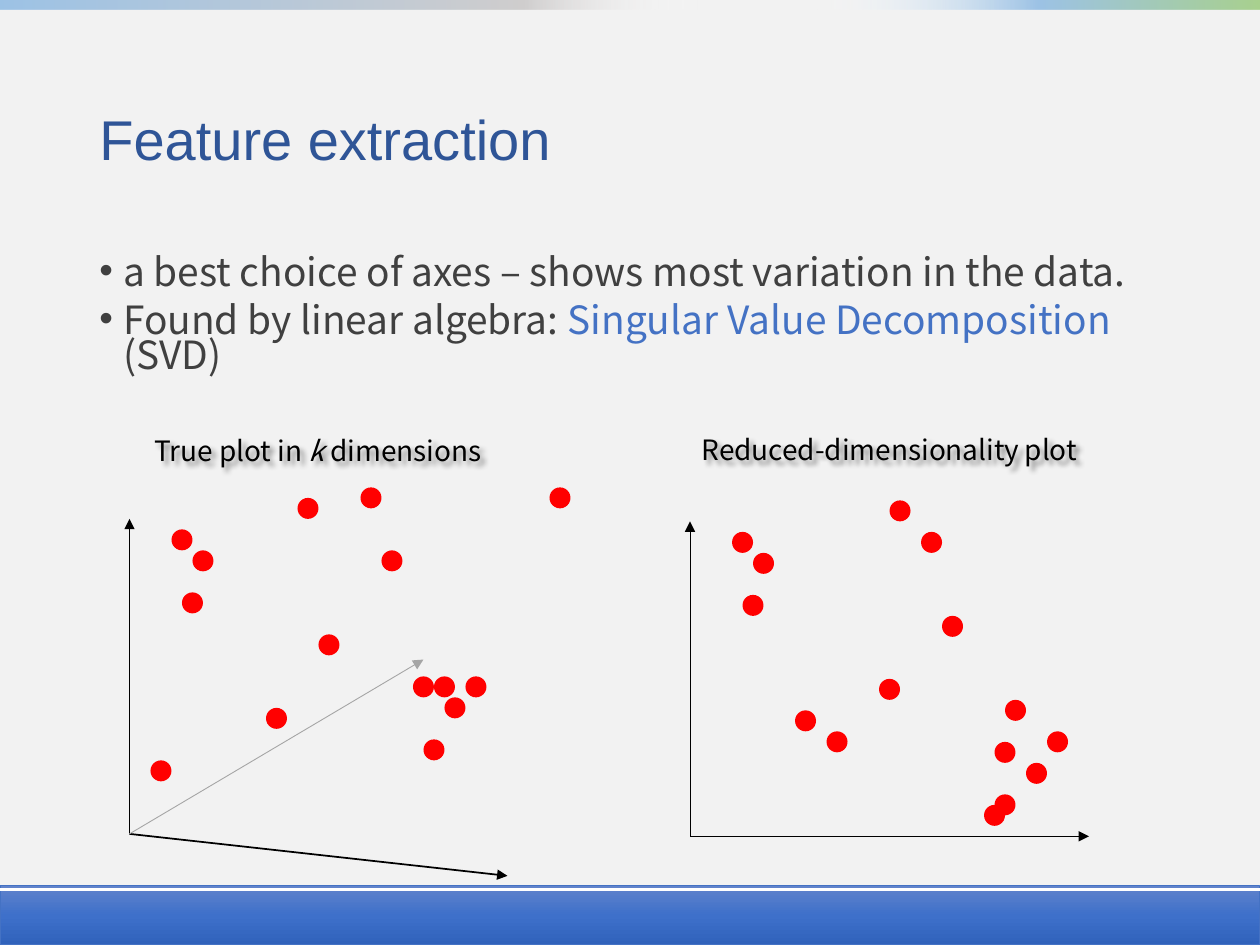
"""Build the feature extraction slide with two scatter sketches."""
from typing import NamedTuple

from lxml.etree import SubElement
from pptx import Presentation
from pptx.dml.color import RGBColor
from pptx.enum.shapes import MSO_CONNECTOR, MSO_SHAPE
from pptx.enum.text import MSO_ANCHOR, MSO_AUTO_SIZE, PP_ALIGN
from pptx.oxml import parse_xml
from pptx.oxml.ns import nsdecls, qn
from pptx.util import Cm, Pt

COLORS = {
    "page": "F2F2F2", "title": "2F5597", "body": "404040", "accent": "4472C4",
    "black": "000000", "gray": "A5A5A5", "dot": "FF0000", "white": "FFFFFF",
}
SANS = "Noto Sans CJK TC"
UNIT = 2.54 / 12


class Bar(NamedTuple):
    left: float
    top: float
    width: float
    height: float
    angle: int
    stops: tuple
    line: str = ""


class Axis(NamedTuple):
    across: float
    up: float
    color: str
    weight: float


class Plot(NamedTuple):
    left: float
    bottom: float
    axes: tuple
    dots: tuple


BARS = (
    Bar(0, 17.86, 25.4, 1.19, 90,
        ((0, "6183CB", 100), (50, "3E70CA", 100), (100, "3062BB", 100)), "accent"),
    Bar(16.46, 0, 8.94, 0.2, 0,
        ((0, "FFFFFF", 0), (50, "9DC3E6", 100), (100, "A9D18E", 100))),
    Bar(0, 0, 14.07, 0.2, 0,
        ((0, "9DC3E6", 100), (75, "D0CECE", 100), (100, "FFFFFF", 0))),
)
PLOTS = (
    Plot(2.61, 16.81,
         (Axis(36, -4, "black", 1), Axis(0, 30, "black", 1), Axis(28, 16.6, "gray", 0.5)),
         ((4, 29), (13, 12), (16, 32), (5, 23), (2, 7), (22, 33), (24, 27), (18, 19),
          (30, 13), (29, 15), (27, 15), (40, 33), (6, 27), (28, 9), (32, 15))),
    Plot(13.91, 16.86,
         (Axis(38, 0, "black", 0.5), Axis(0, 30, "black", 0.5)),
         ((4, 29), (13, 10), (19, 32), (5, 23), (10, 12), (22, 29), (24, 21), (18, 15),
          (30, 13), (29, 9), (29, 4), (34, 10), (6, 27), (28, 3), (32, 7))),
)


def color(name: str) -> RGBColor:
    """Look up a palette colour."""
    return RGBColor.from_string(COLORS[name])


def place(shape, left: float, top: float, width: float, height: float) -> None:
    """Move and size a shape in centimetres."""
    shape.left, shape.top, shape.width, shape.height = map(Cm, (left, top, width, height))


def add_text(paragraph, text: str, *, size: float, font: str = SANS,
             tint: str = "black", italic: bool = False) -> None:
    """Append a formatted span to a paragraph."""
    span = paragraph.add_run()
    span.text = text
    span.font.name, span.font.size, span.font.italic = font, Pt(size), italic
    span.font.color.rgb = color(tint)


def add_bar(page, bar: Bar) -> None:
    """Draw a rectangle with a gradient fill."""
    shape = page.shapes.add_shape(
        MSO_SHAPE.RECTANGLE, Cm(bar.left), Cm(bar.top), Cm(bar.width), Cm(bar.height))
    shape.shadow.inherit = False
    stops = "".join(
        f'<a:gs pos="{position * 1000}"><a:srgbClr val="{tint}">'
        f'<a:alpha val="{opacity * 1000}"/></a:srgbClr></a:gs>'
        for position, tint, opacity in bar.stops)
    gradient = parse_xml(
        f'<a:gradFill {nsdecls("a")} rotWithShape="1"><a:gsLst>{stops}</a:gsLst>'
        f'<a:lin ang="{bar.angle * 60000}" scaled="0"/></a:gradFill>')
    shape._element.spPr.find(qn("a:prstGeom")).addnext(gradient)
    if bar.line:
        shape.line.color.rgb = color(bar.line)
        shape.line.width = Pt(0.5)
    else:
        shape.line.fill.background()


def add_line(page, start: tuple, end: tuple, tint: str, weight: float,
             arrow: bool = False) -> None:
    """Draw a straight line, optionally with an arrowhead."""
    line = page.shapes.add_connector(
        MSO_CONNECTOR.STRAIGHT, *map(Cm, start), *map(Cm, end))
    line.line.color.rgb = color(tint)
    line.line.width = Pt(weight)
    if arrow:
        SubElement(line.line._get_or_add_ln(), qn("a:tailEnd"), type="triangle")
    SubElement(line._element.spPr, qn("a:effectLst"))


def add_plot(page, plot: Plot) -> None:
    """Draw the axes and dots of one plot."""
    for axis in plot.axes:
        end = (plot.left + axis.across * UNIT, plot.bottom - axis.up * UNIT)
        add_line(page, (plot.left, plot.bottom), end, axis.color, axis.weight, arrow=True)
    for across, up in plot.dots:
        dot = page.shapes.add_shape(
            MSO_SHAPE.OVAL, Cm(plot.left + across * UNIT), Cm(plot.bottom - up * UNIT),
            Cm(2 * UNIT), Cm(2 * UNIT))
        dot.shadow.inherit = False
        dot.fill.solid()
        dot.fill.fore_color.rgb = color("dot")
        dot.line.fill.background()


def add_label(page, left: float, top: float, width: float):
    """Add a centred label with a soft shadow and return its paragraph."""
    box = page.shapes.add_textbox(Cm(left), Cm(top), Cm(width), Cm(0.94))
    box.text_frame.word_wrap = True
    box._element.spPr.append(parse_xml(
        f'<a:effectLst {nsdecls("a")}><a:outerShdw blurRad="38100" dist="38100" '
        'dir="2700000"><a:srgbClr val="000000"><a:alpha val="43000"/></a:srgbClr>'
        '</a:outerShdw></a:effectLst>'))
    paragraph = box.text_frame.paragraphs[0]
    paragraph.alignment = PP_ALIGN.CENTER
    return paragraph


def add_bullet(paragraph) -> None:
    """Give a paragraph its bullet, indent and line spacing."""
    properties = paragraph._p.get_or_add_pPr()
    properties.set("marL", str(Cm(0.48)))
    properties.set("indent", str(Cm(-0.48)))
    SubElement(properties, qn("a:buChar"), char="•")
    paragraph.line_spacing = 0.75


def fill_placeholders(page) -> None:
    """Write the title and the bullet list."""
    title, body = page.placeholders
    place(title, 1.75, 1.02, 21.9, 3.68)
    title.text_frame.vertical_anchor = MSO_ANCHOR.MIDDLE
    heading = title.text_frame.paragraphs[0]
    heading.alignment, heading.line_spacing = PP_ALIGN.LEFT, 0.9
    add_text(heading, "Feature extraction", size=32, font="Arial", tint="title")

    place(body, 1.75, 5.08, 21.9, 3.33)
    body.text_frame.auto_size = MSO_AUTO_SIZE.NONE
    first, second = body.text_frame.paragraphs[0], body.text_frame.add_paragraph()
    for paragraph, space in ((first, 0), (second, 7.5)):
        add_bullet(paragraph)
        paragraph.space_before = Pt(space)
    add_text(first, "a best choice of axes – shows most variation in the data.",
             size=22.2, tint="body")
    for text, tint in (("Found by linear algebra: ", "body"),
                       ("Singular Value Decomposition ", "accent"), ("(SVD)", "body")):
        add_text(second, text, size=22.2, tint=tint)


def main() -> None:
    """Assemble and save the deck."""
    deck = Presentation()
    deck.slide_width, deck.slide_height = Cm(25.4), Cm(19.05)
    page = deck.slides.add_slide(deck.slide_layouts[1])
    page.background.fill.solid()
    page.background.fill.fore_color.rgb = color("page")
    for bar in BARS:
        add_bar(page, bar)
    add_line(page, (0, 17.93), (25.4, 17.93), "white", 1.5)
    fill_placeholders(page)
    for plot in PLOTS:
        add_plot(page, plot)
    label = add_label(page, 2.74, 8.61, 7.34)
    for text, italic in (("True plot in ", False), ("k", True), (" dimensions", False)):
        add_text(label, text, size=16, italic=italic)
    label = add_label(page, 13.84, 8.59, 8.18)
    add_text(label, "Reduced-dimensionality", size=16)
    add_text(label, " ", size=12, font="Times New Roman")
    add_text(label, "plot", size=16)
    deck.save("out.pptx")


if __name__ == "__main__":
    main()
